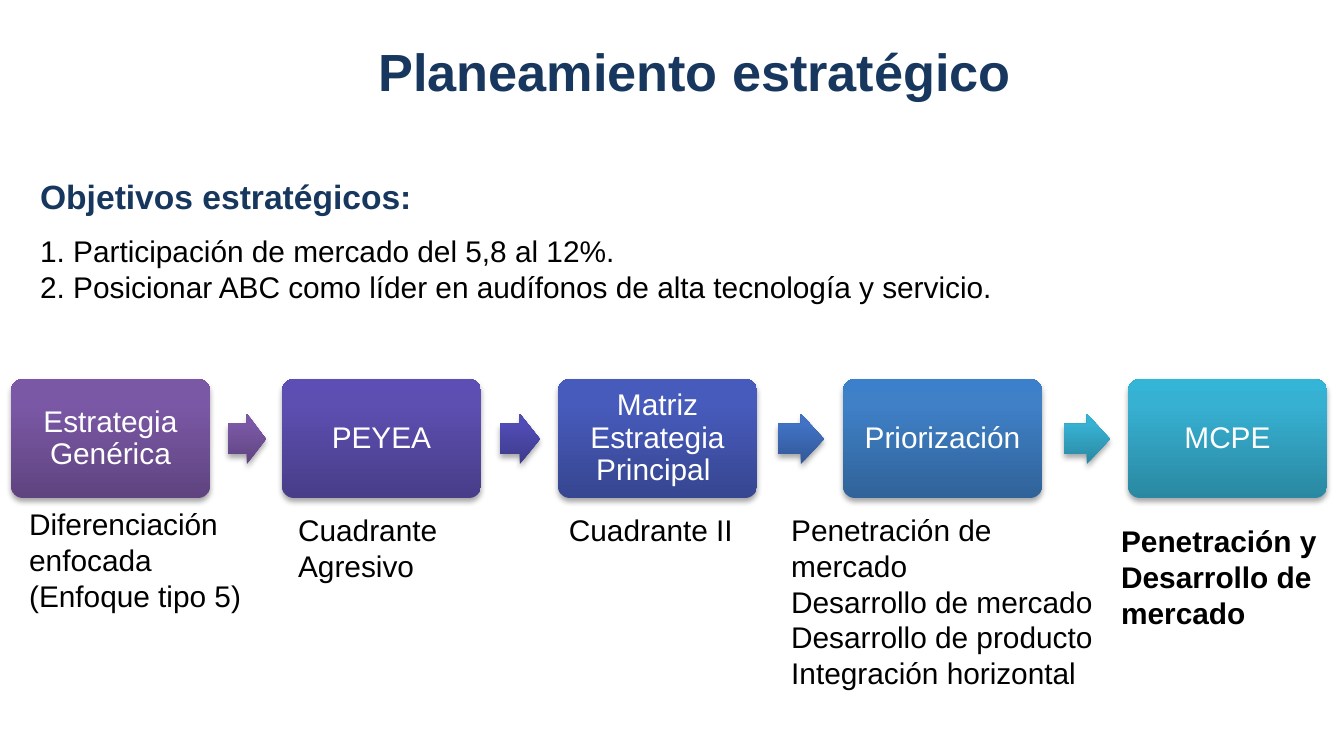
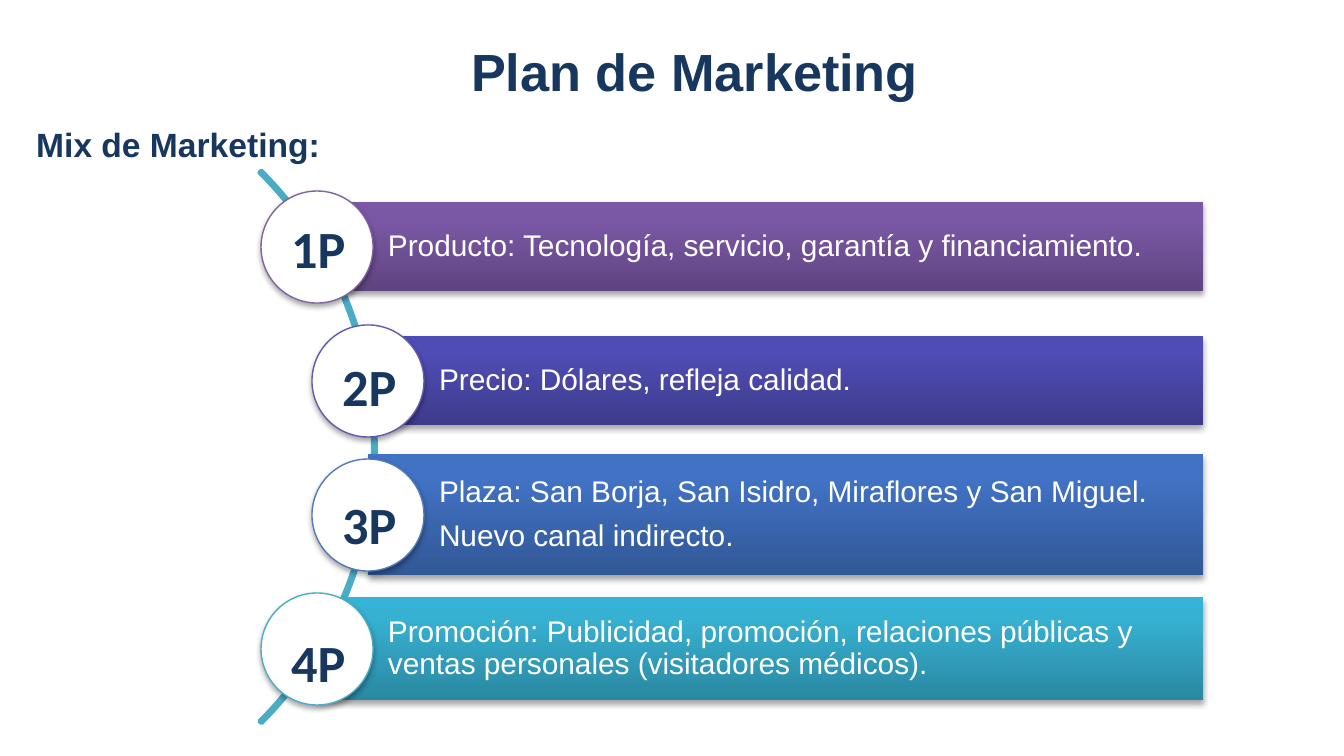
from copy import deepcopy

from lxml.etree import SubElement
from pptx import Presentation
from pptx.dml.color import RGBColor
from pptx.enum.shapes import MSO_SHAPE
from pptx.enum.text import MSO_ANCHOR, PP_ALIGN
from pptx.oxml.ns import qn
from pptx.util import Pt

EMU_PER_PIXEL = 914400 / 134.4

COLORS = {
    "navy": "17375E",
    "black": "000000",
    "white": "FFFFFF",
    "arc": "4BACC6",
}
GRADIENTS = {
    "purple": ("5F4480", "7B58A6", "7C57A8"),
    "violet": ("483D89", "5D4FB1", "5C4EB4"),
    "indigo": ("3E3B8B", "504CB5", "4F4BB8"),
    "royal": ("374691", "475BBC", "455ABF"),
    "blue": ("325897", "4172C4", "3F72C7"),
    "sky": ("306399", "3F80C7", "3C80CB"),
    "cyan": ("2A88A2", "37B1D2", "34B4D6"),
}

STEPS = [
    (11, "Estrategia Genérica", "purple"),
    (282, "PEYEA", "violet"),
    (558, "Matriz Estrategia Principal ", "royal"),
    (843, "Priorización", "sky"),
    (1128, "MCPE", "cyan"),
]
ARROWS = [
    (228, 38, "purple"),
    (500, 40, "indigo"),
    (778, 46, "blue"),
    (1064, 46, "cyan"),
]
RESULTS = [
    ((16, 499, 249, 122), ["Diferenciación enfocada", "(Enfoque tipo 5)"], {}),
    ((285, 505, 380, 86), ["Cuadrante ", "Agresivo"], {}),
    ((461, 505, 380, 50), ["Cuadrante II"], {"align": PP_ALIGN.CENTER}),
    ((778, 505, 333, 195), ["Penetración de mercado", "Desarrollo de mercado",
                            "Desarrollo de producto", "Integración horizontal"], {}),
    ((1108, 516, 236, 122), ["Penetración y", "Desarrollo de ", "mercado"],
     {"bold": True}),
]
MIX = [
    (261, 202, 89, "purple", "8064A2",
     ["Producto: Tecnología, servicio, garantía y financiamiento."]),
    (312, 336, 89, "indigo", "5F5BAE",
     ["Precio: Dólares, refleja calidad."]),
    (312, 454, 121, "blue", "537ABA",
     ["Plaza: San Borja, San Isidro, Miraflores y San Miguel.",
      "Nuevo canal indirecto. "]),
    (261, 597, 103, "cyan", "4BACC6",
     ["Promoción: Publicidad, promoción, relaciones públicas y "
      "ventas personales (visitadores médicos). "]),
]


def px(value):
    return round(value * EMU_PER_PIXEL)


def rgb(value):
    return RGBColor.from_string(value)


def write(frame, lines, size=16, color="black", bold=False,
          align=PP_ALIGN.LEFT, font="Arial"):
    frame.word_wrap = True
    frame.text = "\n".join(lines)
    for paragraph in frame.paragraphs:
        paragraph.alignment = align
        for run in paragraph.runs:
            run.font.name = font
            run.font.size = Pt(size)
            run.font.bold = bold
            run.font.color.rgb = rgb(COLORS[color])


def set_margins(frame, left, other):
    frame.margin_left = px(left)
    frame.margin_right = frame.margin_top = frame.margin_bottom = px(other)


def add_text(slide, box, lines, **style):
    frame = slide.shapes.add_textbox(*map(px, box)).text_frame
    write(frame, lines, **style)
    return frame


def add_heading(slide, box, lines):
    frame = add_text(slide, box, lines, align=PP_ALIGN.JUSTIFY)
    heading = frame.paragraphs[0].runs[0].font
    heading.size = Pt(18)
    heading.bold = True
    heading.color.rgb = rgb(COLORS["navy"])
    return frame


def add_shape(slide, kind, box, adjustments=()):
    shape = slide.shapes.add_shape(kind, *map(px, box))
    for index, value in enumerate(adjustments):
        shape.adjustments[index] = value
    shape.shadow.inherit = False
    return shape


def add_shadow(shape):
    effects = shape._element.spPr.find(qn("a:effectLst"))
    shadow = SubElement(effects, qn("a:outerShdw"), blurRad="40000",
                        dist="23000", dir="5400000", rotWithShape="0")
    tint = SubElement(shadow, qn("a:srgbClr"), val=COLORS["black"])
    SubElement(tint, qn("a:alpha"), val="35000")


def paint_gradient(shape, name):
    shape.fill.gradient()
    shape.fill.gradient_angle = 90
    stop_list = shape._element.spPr.find(".//" + qn("a:gsLst"))
    stop_list.insert(1, deepcopy(stop_list[0]))
    for stop, position, color in zip(shape.fill.gradient_stops,
                                     (0, 0.8, 1), GRADIENTS[name]):
        stop.position = position
        stop.color.rgb = rgb(color)
    shape.line.fill.background()
    add_shadow(shape)


def write_label(shape, lines, align, left, other):
    frame = shape.text_frame
    write(frame, lines, color="white", align=align)
    set_margins(frame, left, other)
    frame.vertical_anchor = MSO_ANCHOR.MIDDLE
    for paragraph in frame.paragraphs:
        paragraph.line_spacing = 0.9
        paragraph.space_after = Pt(6.4)


def add_titled_slide(deck, text):
    slide = deck.slides.add_slide(deck.slide_layouts[5])
    title = slide.shapes.title
    title.left, title.top, title.width, title.height = map(px, (282, 8, 825, 126))
    write(title.text_frame, [text], size=28, color="navy", bold=True,
          align=PP_ALIGN.CENTER)
    title.text_frame.vertical_anchor = MSO_ANCHOR.MIDDLE
    return slide


def add_step(slide, left, label, gradient):
    step = add_shape(slide, MSO_SHAPE.ROUNDED_RECTANGLE, (left, 379, 199, 119), [0.1])
    paint_gradient(step, gradient)
    write_label(step, [label], PP_ALIGN.CENTER, 9, 9)


def add_arrow(slide, left, width, gradient):
    arrow = add_shape(slide, MSO_SHAPE.RIGHT_ARROW, (left, 414, width, 50), [0.6, 0.5])
    paint_gradient(arrow, gradient)


def add_mix_row(slide, index, left, top, height, gradient, outline, lines):
    diameter = 112
    center = left + diameter // 2
    bar = add_shape(slide, MSO_SHAPE.RECTANGLE, (center, top, 1203 - center, height))
    paint_gradient(bar, gradient)
    write_label(bar, lines, PP_ALIGN.LEFT, 71, 5)
    circle = add_shape(slide, MSO_SHAPE.OVAL,
                       (left, 191 + 134 * index, diameter, diameter))
    circle.fill.solid()
    circle.fill.fore_color.rgb = rgb(COLORS["white"])
    circle.line.color.rgb = rgb(outline)
    circle.line.width = Pt(0.75)
    add_shadow(circle)
    add_text(slide, (left + 17, 210 + 138 * index, 85, 77), [f"{index + 1}P"],
             size=28, color="navy", bold=True, font="Calibri")


def build_strategy(deck):
    slide = add_titled_slide(deck, "Planeamiento estratégico")
    goals = add_heading(slide, (27, 169, 1302, 145), [
        "Objetivos estratégicos:",
        "1. Participación de mercado del 5,8 al 12%.",
        "2. Posicionar ABC como líder en audífonos de alta tecnología y servicio.",
    ])
    goals.paragraphs[1].space_before = Pt(9)
    for step in STEPS:
        add_step(slide, *step)
    for arrow in ARROWS:
        add_arrow(slide, *arrow)
    for box, lines, style in RESULTS:
        add_text(slide, box, lines, **style)


def build_marketing(deck):
    slide = add_titled_slide(deck, "Plan de Marketing")
    add_heading(slide, (23, 117, 1292, 90), ["Mix de Marketing:"])
    arc = add_shape(slide, MSO_SHAPE.BLOCK_ARC, (-406, 56, 782, 782), [189, 27, 0.004])
    arc.fill.background()
    arc.line.color.rgb = rgb(COLORS["arc"])
    arc.line.width = Pt(2)
    for index, row in enumerate(MIX):
        add_mix_row(slide, index, *row)


def main():
    deck = Presentation()
    deck.slide_width, deck.slide_height = px(1344), px(756)
    build_strategy(deck)
    build_marketing(deck)
    deck.save("out.pptx")


main()
